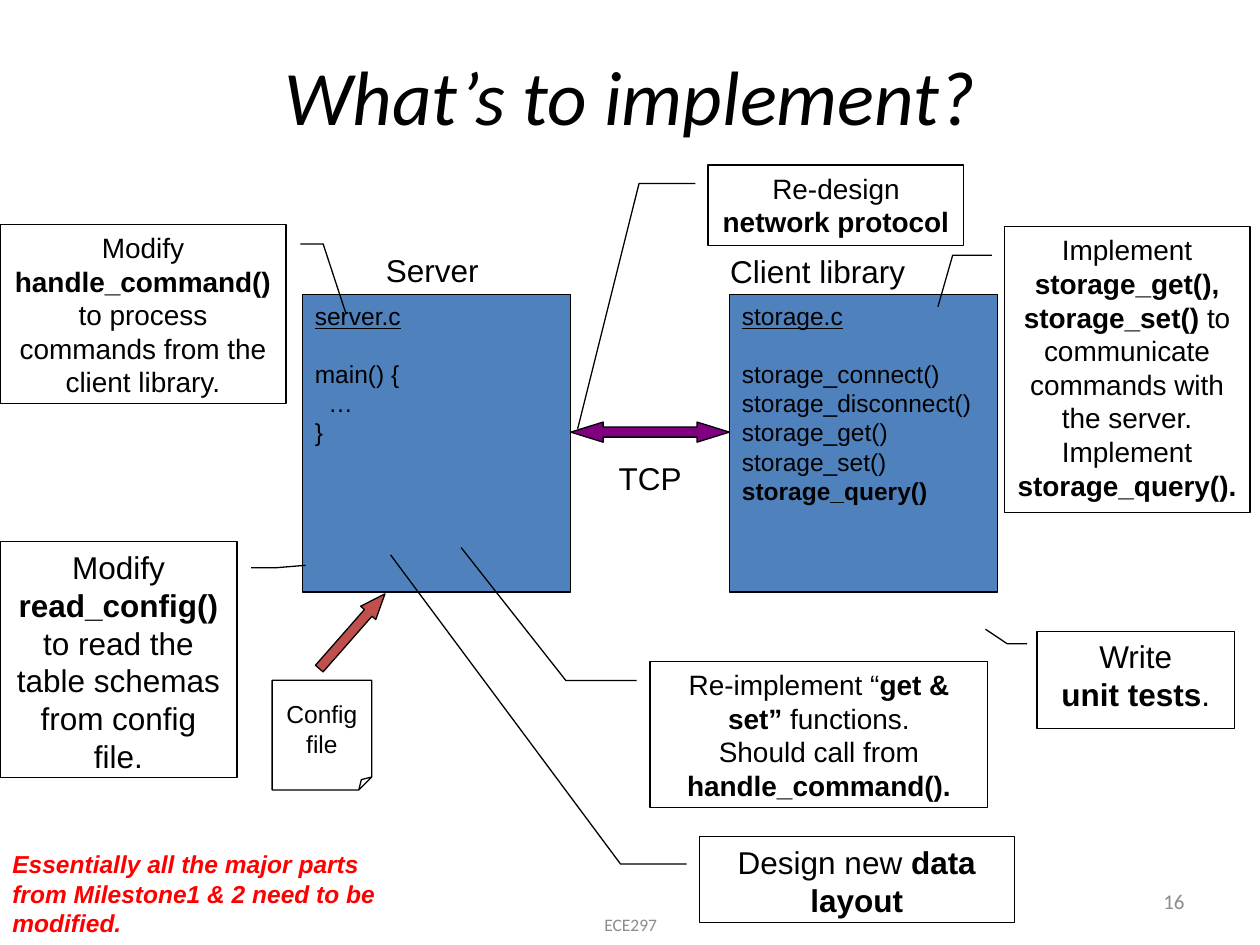
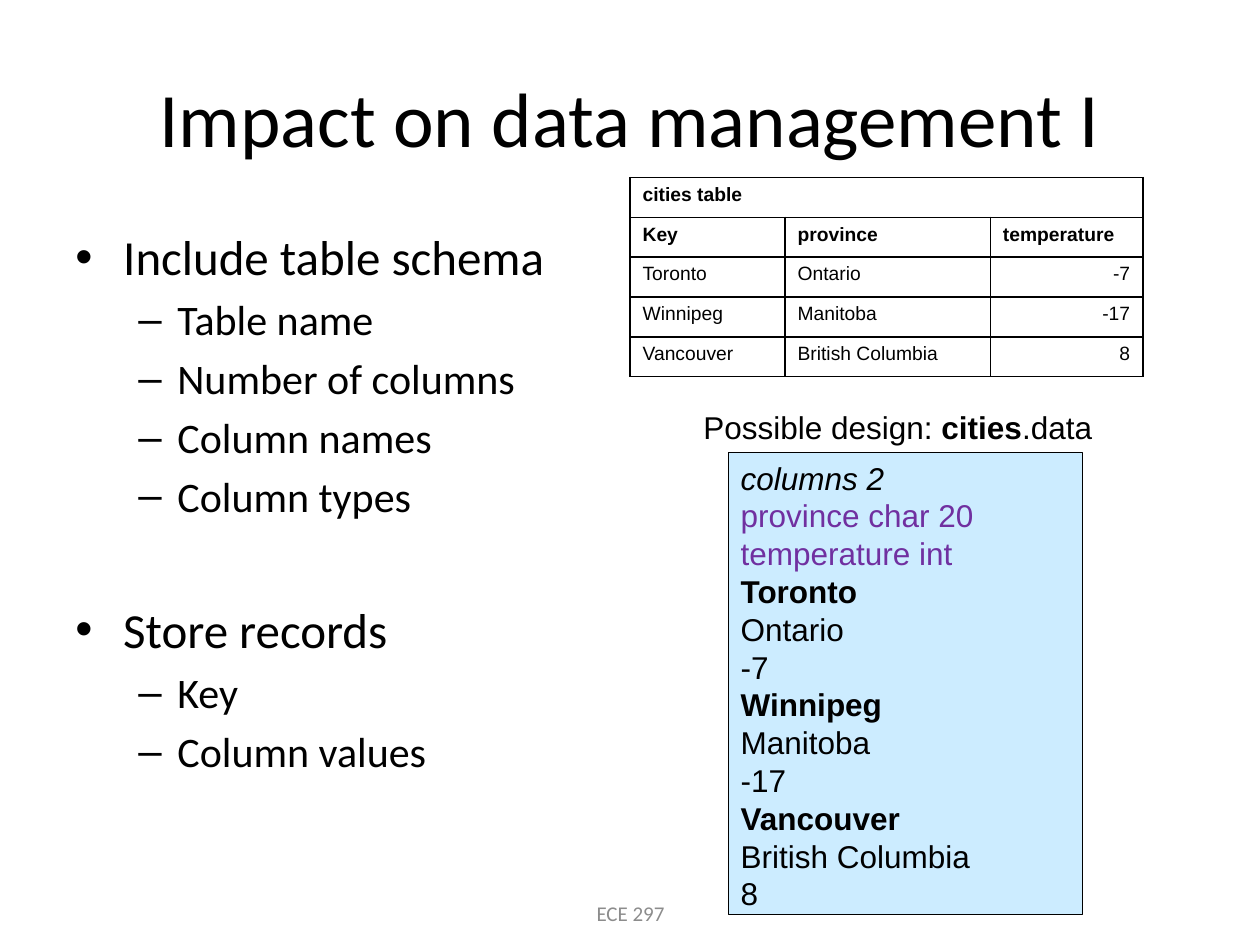
import dataclasses

import lxml.etree
import pptx
import pptx.dml.color
import pptx.enum.shapes
import pptx.enum.text
import pptx.oxml.ns
import pptx.util

Inches = pptx.util.Inches
Pt = pptx.util.Pt
SHAPE = pptx.enum.shapes.MSO_SHAPE
ALIGN = pptx.enum.text.PP_ALIGN
ANCHOR = pptx.enum.text.MSO_ANCHOR
qn = pptx.oxml.ns.qn


@dataclasses.dataclass(frozen=True)
class Theme:
    head: str = "Calibri"
    body: str = "Arial"
    black: str = "000000"
    grey: str = "8C8C8C"
    blue: str = "4F81BD"
    pale: str = "CCECFF"
    purple: str = "800080"
    violet: str = "7030A0"
    brick: str = "C0504D"
    red: str = "FF0000"
    title: int = 44
    point: int = 28
    sub: int = 24
    label: int = 18
    note: int = 16
    code: int = 14
    foot: int = 12
    small: int = 10
    cell: int = 11
    edge: float = 0.75


THEME = Theme()


def color(code):
    return pptx.dml.color.RGBColor.from_string(code)


def bullet(para, mark, left, hang):
    props = para._p.get_or_add_pPr()
    props.set("marL", str(Inches(left)))
    props.set("indent", str(Inches(-hang)))
    face = lxml.etree.SubElement(props, qn("a:buFont"))
    face.set("typeface", THEME.body)
    lxml.etree.SubElement(props, qn("a:buChar")).set("char", mark)


def bend(item, values):
    guides = item._element.find(".//" + qn("a:avLst"))
    for guide in list(guides):
        guides.remove(guide)
    for index, value in enumerate(values, 1):
        name = f"adj{index}" if len(values) > 1 else "adj"
        guide = lxml.etree.SubElement(guides, qn("a:gd"))
        guide.set("name", name)
        guide.set("fmla", f"val {round(value * 100000)}")


def write(frame, lines, anchor=ANCHOR.TOP, wrap=True, **base):
    frame.word_wrap = wrap
    frame.vertical_anchor = anchor
    if isinstance(lines, str):
        lines = [lines]
    for index, line in enumerate(lines):
        text, extra = (line, {}) if isinstance(line, str) else line
        look = {**base, **extra}
        para = frame.add_paragraph() if index else frame.paragraphs[0]
        if "mark" in look:
            bullet(para, *look["mark"])
        para.alignment = look.get("align", ALIGN.LEFT)
        if index and "before" in look:
            para.space_before = Pt(look["before"])
        for turn, part in enumerate(text.split("*")):
            if not part:
                continue
            run = para.add_run()
            run.text = part
            font = run.font
            font.name = look.get("face", THEME.body)
            font.size = Pt(look.get("size", THEME.label))
            font.color.rgb = color(look.get("ink", THEME.black))
            font.bold = look.get("bold", False) or turn % 2 == 1
            font.italic = look.get("italic", False)
            font.underline = look.get("under", False)


class Deck:
    def __init__(self, theme):
        self.theme = theme
        self.file = pptx.Presentation()
        self.file.slide_width = Inches(10)
        self.file.slide_height = Inches(7.5)
        self.slide = None

    def page(self, title, top, foot, low, size, italic=False):
        self.slide = self.file.slides.add_slide(self.file.slide_layouts[6])
        self.text((0.5, top, 9, 1.25), title, face=self.theme.head,
                  size=self.theme.title, italic=italic,
                  align=ALIGN.CENTER, anchor=ANCHOR.MIDDLE)
        self.footer((3.42, low, 3.17, 0.4), foot, size, ALIGN.CENTER)

    def text(self, area, lines, **look):
        box = self.slide.shapes.add_textbox(*map(Inches, area))
        write(box.text_frame, lines, **look)

    def footer(self, area, words, size, align):
        self.text(area, words, face=self.theme.head, size=size,
                  ink=self.theme.grey, align=align, anchor=ANCHOR.MIDDLE)

    def label(self, area, words):
        self.text(area, words, align=ALIGN.CENTER)

    def shape(self, kind, area, fill=None, lines=(), adjust=(), turn=0, **look):
        item = self.slide.shapes.add_shape(kind, *map(Inches, area))
        item.shadow.inherit = False
        item.rotation = turn
        bend(item, adjust)
        if fill:
            item.fill.solid()
            item.fill.fore_color.rgb = color(fill)
        else:
            item.fill.background()
        item.line.color.rgb = color(self.theme.black)
        item.line.width = Pt(self.theme.edge)
        write(item.text_frame, lines, **look)

    def callout(self, area, adjust, lines, size):
        self.shape(SHAPE.LINE_CALLOUT_2, area, lines=lines, adjust=adjust,
                   size=size, align=ALIGN.CENTER)

    def module(self, left, name, lines):
        first, *rest = lines
        gap = {"before": self.theme.code * 1.15}
        self.shape(SHAPE.RECTANGLE, (left, 2.34, 2.13, 2.36), self.theme.blue,
                   [(name, {"under": True}), (first, gap), *rest],
                   size=self.theme.code)

    def border(self, cell):
        props = cell._tc.get_or_add_tcPr()
        for index, side in enumerate(("lnL", "lnR", "lnT", "lnB")):
            line = lxml.etree.Element(qn("a:" + side), w=str(Pt(1)))
            fill = lxml.etree.SubElement(line, qn("a:solidFill"))
            lxml.etree.SubElement(fill, qn("a:srgbClr"), val=self.theme.black)
            props.insert(index, line)

    def table(self, area, widths, rows):
        frame = self.slide.shapes.add_table(
            len(rows), len(widths), *map(Inches, area))
        grid = frame.table
        grid.first_row = grid.horz_banding = False
        for column, width in zip(grid.columns, widths):
            column.width = Inches(width)
        grid.cell(0, 0).merge(grid.cell(0, len(widths) - 1))
        for down, row in enumerate(rows):
            for across in range(len(widths)):
                cell = grid.cell(down, across)
                cell.fill.background()
                self.border(cell)
                if across < len(row):
                    right = down > 1 and across == 2
                    write(cell.text_frame, row[across], size=self.theme.cell,
                          bold=down < 2,
                          align=ALIGN.RIGHT if right else ALIGN.LEFT)


def tasks(deck):
    look = deck.theme
    deck.page("What’s to implement?", 0.13, "ECE297", 7.14, look.small, True)
    deck.footer((7.17, 6.95, 2.33, 0.4), "16", look.foot, ALIGN.RIGHT)
    deck.module(2.4, "server.c", ["main() {", "  …", "}"])
    deck.module(5.79, "storage.c", [
        "storage_connect()", "storage_disconnect()", "storage_get()",
        "storage_set()", "*storage_query()*"])
    deck.label((2.72, 1.94, 1.42, 0.4), "Server")
    deck.label((5.62, 1.95, 1.74, 0.4), "Client library")
    deck.label((4.45, 3.59, 1.42, 0.4), "TCP")
    deck.shape(SHAPE.LEFT_RIGHT_ARROW, (4.53, 3.35, 1.26, 0.16), look.purple,
               adjust=(0.5, 1.61))
    deck.shape(SHAPE.FOLDED_CORNER, (2.16, 5.4, 0.79, 0.87),
               lines=["Config", "file"], adjust=(0.13,), size=look.code,
               align=ALIGN.CENTER, anchor=ANCHOR.MIDDLE, wrap=False)
    deck.shape(SHAPE.RIGHT_ARROW, (2.4, 4.93, 0.79, 0.16), look.brick,
               adjust=(0.5, 1.26), turn=311.3)
    notes = [
        ((0, 4.3, 1.88, 1.87), (0.11, 1.06, 0.11, 1.17, 0.1, 1.29),
         ["Modify *read_config()* to read the table schemas from config file."],
         look.label),
        ((0, 1.78, 2.27, 1.42), (0.11, 1.05, 0.11, 1.13, 0.5, 1.21),
         ["Modify *handle_command()* to process commands from the "
          "client library."], look.note),
        ((7.97, 1.8, 1.95, 2.27), (0.1, -0.05, 0.1, -0.21, 0.28, -0.27),
         ["Implement *storage_get(), storage_set()* to communicate "
          "commands with the server.", "Implement *storage_query().*"],
         look.note),
        ((5.16, 5.25, 2.68, 1.16), (0.13, -0.04, 0.13, -0.25, -0.78, -0.56),
         ["Re-implement “*get & set”* functions.",
          "Should call from *handle_command().*"], look.note),
        ((5.55, 6.64, 2.5, 0.68), (0.32, -0.04, 0.32, -0.25, -3.29, -0.98),
         ["Design new *data layout*"], look.label),
        ((5.62, 1.31, 2.03, 0.64), (0.23, -0.05, 0.23, -0.27, 3.27, -0.51),
         ["Re-design *network protocol*"], look.note),
        ((8.23, 5.01, 1.57, 0.77), (0.13, -0.05, 0.13, -0.15, -0.02, -0.26),
         ["Write", "*unit tests*."], look.label),
    ]
    for note in notes:
        deck.callout(*note)
    deck.text((0, 6.69, 3.2, 0.81),
              "Essentially all the major parts from Milestone1 & 2 need to be "
              "modified.", size=look.code, ink=look.red, bold=True, italic=True)


def impact(deck):
    look = deck.theme
    deck.page("Impact on data management I", 0.3, "ECE 297", 7.05, look.foot)
    topics = {
        "Include table schema": ["Table name", "Number of columns",
                                 "Column names", "Column types"],
        "Store records": ["Key", "Column values"],
    }
    lines = []
    for topic, parts in topics.items():
        lines.append((topic, {"size": look.point, "before": 45,
                              "mark": ("•", 0.38, 0.38)}))
        lines += [(part, {"size": look.sub, "before": 4.8,
                          "mark": ("–", 0.81, 0.31)}) for part in parts]
    deck.text((0.5, 1.75, 4.26, 4.95), lines, face=look.head)

    cities = [("Toronto", "Ontario", "-7"), ("Winnipeg", "Manitoba", "-17"),
              ("Vancouver", "British Columbia", "8")]
    deck.table((5, 1.41, 4.07, 1.58), (1.23, 1.63, 1.21),
               [("cities table",), ("Key", "province", "temperature"), *cities])

    data = [("columns 2", {"italic": True})]
    data += [(line, {"ink": look.violet})
             for line in ("province char 20", "temperature int")]
    for key, *values in cities:
        data += [(key, {"bold": True}), *values]
    deck.shape(SHAPE.RECTANGLE, (5.78, 3.59, 2.81, 3.67), look.pale, data)
    deck.label((5.31, 3.19, 3.63, 0.4), "Possible design: *cities*.data")


def main():
    deck = Deck(THEME)
    tasks(deck)
    impact(deck)
    deck.file.save("out.pptx")


if __name__ == "__main__":
    main()
